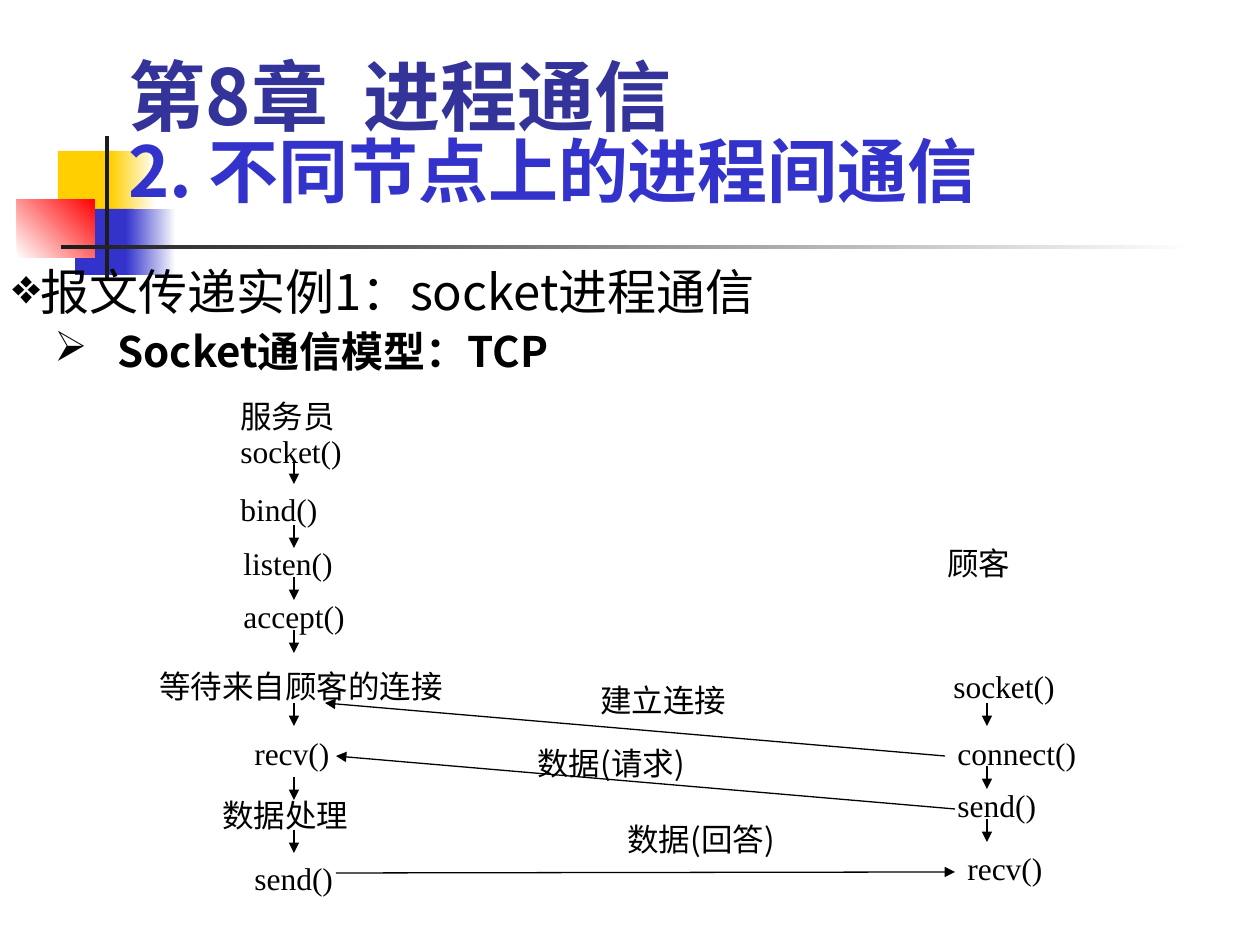
from lxml.etree import SubElement
from pptx import Presentation
from pptx.dml.color import RGBColor
from pptx.enum.shapes import MSO_CONNECTOR, MSO_SHAPE
from pptx.enum.text import MSO_ANCHOR, MSO_AUTO_SIZE, PP_ALIGN
from pptx.oxml.ns import qn
from pptx.util import Emu, Pt

PX = 914400 / 126
YELLOW = RGBColor(0xFF, 0xCF, 0x01)
BLUE = RGBColor(0x33, 0x33, 0xCC)
NAVY = RGBColor(0x33, 0x33, 0x99)
RED = RGBColor(0xFF, 0x00, 0x00)
DARK = RGBColor(0x1C, 0x1C, 0x1C)
WHITE = RGBColor(0xFF, 0xFF, 0xFF)
BLACK = RGBColor(0x00, 0x00, 0x00)
SANS_JP, SANS_SC, SERIF = "Noto Sans CJK JP", "Noto Sans CJK SC", "Times New Roman"


def px(*lengths):
    return [Emu(round(length * PX)) for length in lengths]


def style(paragraph, size, latin, color, bold=False, spacing=0.9):
    paragraph.line_spacing = spacing
    for run in paragraph.runs:
        run.font.size = Pt(size)
        run.font.name = latin
        run.font.bold = bold
        run.font.color.rgb = color
        east_asian = SANS_SC if latin == SERIF else latin
        SubElement(run.font._element, qn("a:ea"), typeface=east_asian)


deck = Presentation()
deck.slide_width, deck.slide_height = px(1260, 945)
slide = deck.slides.add_slide(deck.slide_layouts[5])
shapes = slide.shapes

# Corner ornament and title rule: box, start colour, end colour, angle
ornament = [
    ((58, 151, 60, 65), YELLOW, None, 0),
    ((111, 151, 45, 65), YELLOW, WHITE, 0),
    ((75, 209, 58, 66), BLUE, None, 0),
    ((126, 209, 50, 66), BLUE, WHITE, 0),
    ((17, 199, 78, 59), WHITE, RED, 45),
    ((105, 136, 4, 145), DARK, None, 0),
    ((61, 245, 1134, 4), DARK, WHITE, 0),
]
for box, start, end, angle in ornament:
    block = shapes.add_shape(MSO_SHAPE.RECTANGLE, *px(*box))
    block.shadow.inherit = False
    block.line.fill.background()
    if end is None:
        block.fill.solid()
        block.fill.fore_color.rgb = start
    else:
        block.fill.gradient()
        block.fill.gradient_angle = angle
        for stop, color, position in zip(block.fill.gradient_stops, (start, end), (0, 1)):
            stop.color.rgb = color
            stop.position = position

# Title, in front of the ornament
title = shapes.title
shapes._spTree.append(title._element)
title.left, title.top, title.width, title.height = px(116, 53, 1102, 189)
title.text_frame.text = "第8章  进程通信\n2. 不同节点上的进程间通信"
title.text_frame.auto_size = MSO_AUTO_SIZE.NONE
title.text_frame.vertical_anchor = MSO_ANCHOR.TOP
chapter, section = title.text_frame.paragraphs
for heading in (chapter, section):
    heading.alignment = PP_ALIGN.LEFT
style(chapter, 44, SANS_SC, NAVY, bold=True)
style(section, 40, SANS_JP, BLUE, bold=True, spacing=0.82)

# Bulleted lines: box, bullet, text, size, bold, hanging indent
topics = [
    ((0, 262, 1207, 72), "❖", "报文传递实例1：socket进程通信", 28, False, 0),
    ((42, 325, 1197, 63), "➢", "Socket通信模型：TCP", 24, True, 63),
]
for box, bullet, text, size, bold, hang in topics:
    topic = shapes.add_textbox(*px(*box)).text_frame
    topic.word_wrap = True
    topic.text = text
    line = topic.paragraphs[0]
    properties = line._p.get_or_add_pPr()
    indent, = px(hang)
    properties.set("marL", str(indent))
    properties.set("indent", str(-indent))
    SubElement(properties, qn("a:buChar"), char=bullet)
    style(line, size, SANS_JP, BLACK, bold)

# Calls and messages: left, top, width, text, font
labels = [
    (228, 388, 183, "服务员", SERIF),
    (228, 423, 183, "socket()", SERIF),
    (228, 481, 183, "bind()", SERIF),
    (231, 535, 183, "listen()", SERIF),
    (231, 588, 183, "accept()", SERIF),
    (147, 658, 387, "等待来自顾客的连接", SERIF),
    (242, 725, 203, "recv()", SERIF),
    (210, 787, 203, "数据处理", SERIF),
    (242, 850, 203, "send()", SERIF),
    (935, 535, 203, "顾客", SERIF),
    (941, 658, 203, "socket()", SERIF),
    (945, 725, 203, "connect()", SERIF),
    (945, 777, 203, "send()", SERIF),
    (955, 840, 203, "recv()", SERIF),
    (588, 672, 265, "建立连接", SERIF),
    (525, 735, 244, "数据(请求)", SANS_JP),
    (615, 811, 244, "数据(回答)", SANS_JP),
]
for left, top, width, text, font in labels:
    label = shapes.add_textbox(*px(left, top, width, 68)).text_frame
    label.word_wrap = True
    label.text = text
    style(label.paragraphs[0], 18, font, BLACK, spacing=Pt(23))

# Steps down each side, then messages between the two sides
STEP = 23
SERVER_X, CLIENT_X = 294, 987
steps = [(SERVER_X, y) for y in (461, 525, 577, 630, 703, 777, 830)]
steps += [(CLIENT_X, y) for y in (703, 766, 819)]
arrows = [(x, y, x, y + STEP) for x, y in steps]
arrows += [(945, 756, 325, 703), (955, 809, 336, 756), (336, 873, 955, 872)]
for ends in arrows:
    arrow = shapes.add_connector(MSO_CONNECTOR.STRAIGHT, *px(*ends))
    arrow.line.color.rgb = BLACK
    arrow.line.width = Pt(0.75)
    SubElement(arrow.line._get_or_add_ln(), qn("a:tailEnd"), type="triangle")
    SubElement(arrow._element.spPr, qn("a:effectLst"))

deck.save("out.pptx")
